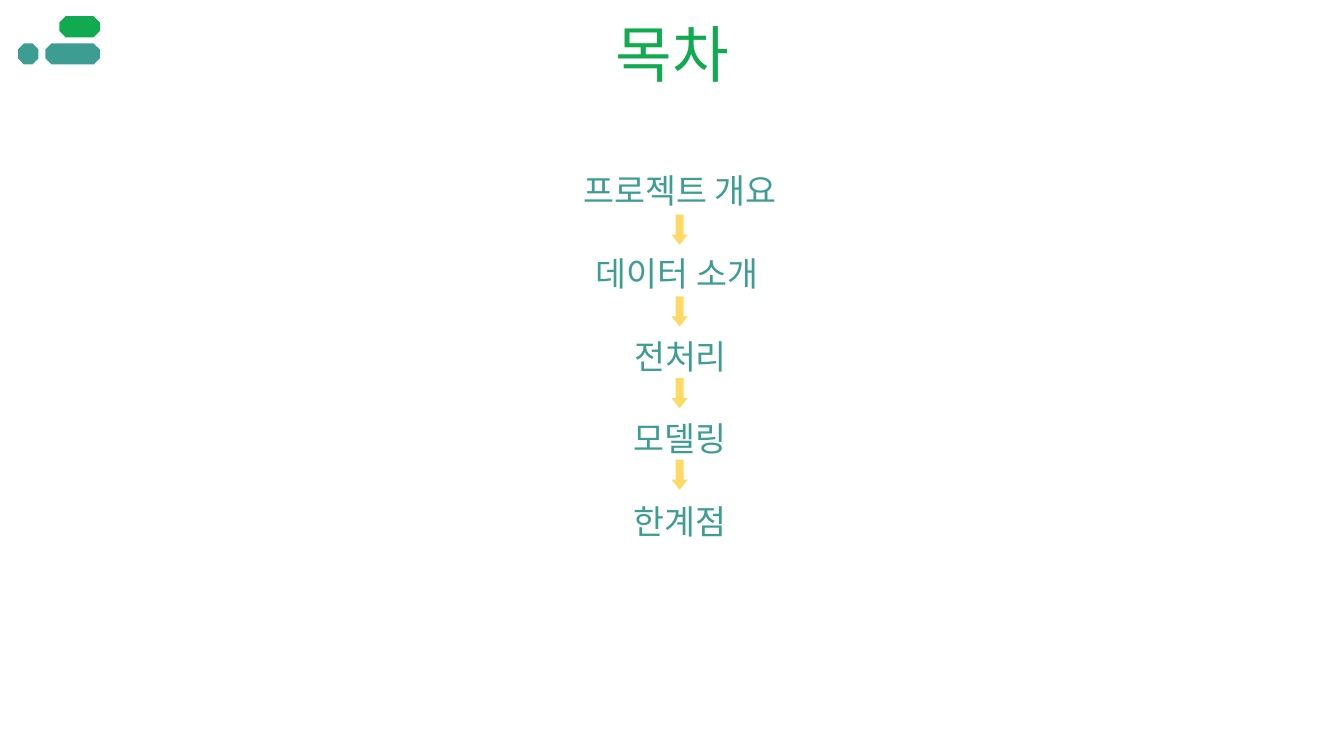
from lxml import etree
from pptx import Presentation
from pptx import util as u
from pptx.dml.color import RGBColor
from pptx.enum import shapes, text
from pptx.oxml.ns import qn

PX = 9144  # one hundredth of an inch
FONT = "Noto Sans CJK KR"
COLORS = {"green": "12AA50", "teal": "3E9D92", "yellow": "FFD966"}


def write(box, words, *, size, color):
    frame = box.text_frame
    frame.word_wrap = False
    frame.auto_size = text.MSO_AUTO_SIZE.SHAPE_TO_FIT_TEXT
    frame.vertical_anchor = text.MSO_ANCHOR.TOP
    para = frame.paragraphs[0]
    para.alignment = text.PP_ALIGN.CENTER
    span = para.add_run()
    span.text = words
    span.font.size = u.Pt(size)
    span.font.name = FONT
    span.font.color.rgb = RGBColor.from_string(COLORS[color])
    # East Asian typeface for the Korean text
    etree.SubElement(span.font._element, qn("a:ea"), typeface=FONT)


def add_block(parent, kind, left, top, width, height, *, color):
    block = parent.add_shape(kind, left * PX, top * PX, width * PX, height * PX)
    block.shadow.inherit = False
    block.fill.solid()
    block.fill.fore_color.rgb = RGBColor.from_string(COLORS[color])
    block.line.fill.background()
    return block


deck = Presentation()
deck.slide_width, deck.slide_height = u.Emu(1333 * PX), u.Emu(750 * PX)
page = deck.slides.add_slide(deck.slide_layouts[5])

# Title
title = page.shapes.title
title.left, title.top, title.width, title.height = 597 * PX, 11 * PX, 140 * PX, 84 * PX
write(title, "목차", size=44, color="green")

# Corner ornament
ornament = page.shapes.add_group_shape()
for left, top, width, color in [
    (45, 43, 54, "teal"),
    (18, 43, 20, "teal"),
    (59, 16, 40, "green"),
]:
    add_block(ornament.shapes, shapes.MSO_SHAPE.OCTAGON, left, top, width, 21, color=color)

# Agenda steps
steps = [
    ("프로젝트 개요", 562, 225),
    ("데이터 소개", 575, 193),
    ("전처리", 616, 118),
    ("모델링", 615, 118),
    ("한계점", 615, 118),
]
for row, (words, left, width) in enumerate(steps):
    box = page.shapes.add_textbox(left * PX, (164 + 82 * row) * PX, width * PX, 50 * PX)
    write(box, words, size=24, color="teal")

# Arrows between the steps
for row in range(len(steps) - 1):
    arrow = add_block(page.shapes, shapes.MSO_SHAPE.RIGHT_ARROW,
                      659, 220 + 81 * row, 30, 16, color="yellow")
    arrow.rotation = 90
    arrow.adjustments[0] = 0.5
    arrow.adjustments[1] = 0.63

deck.save("out.pptx")
